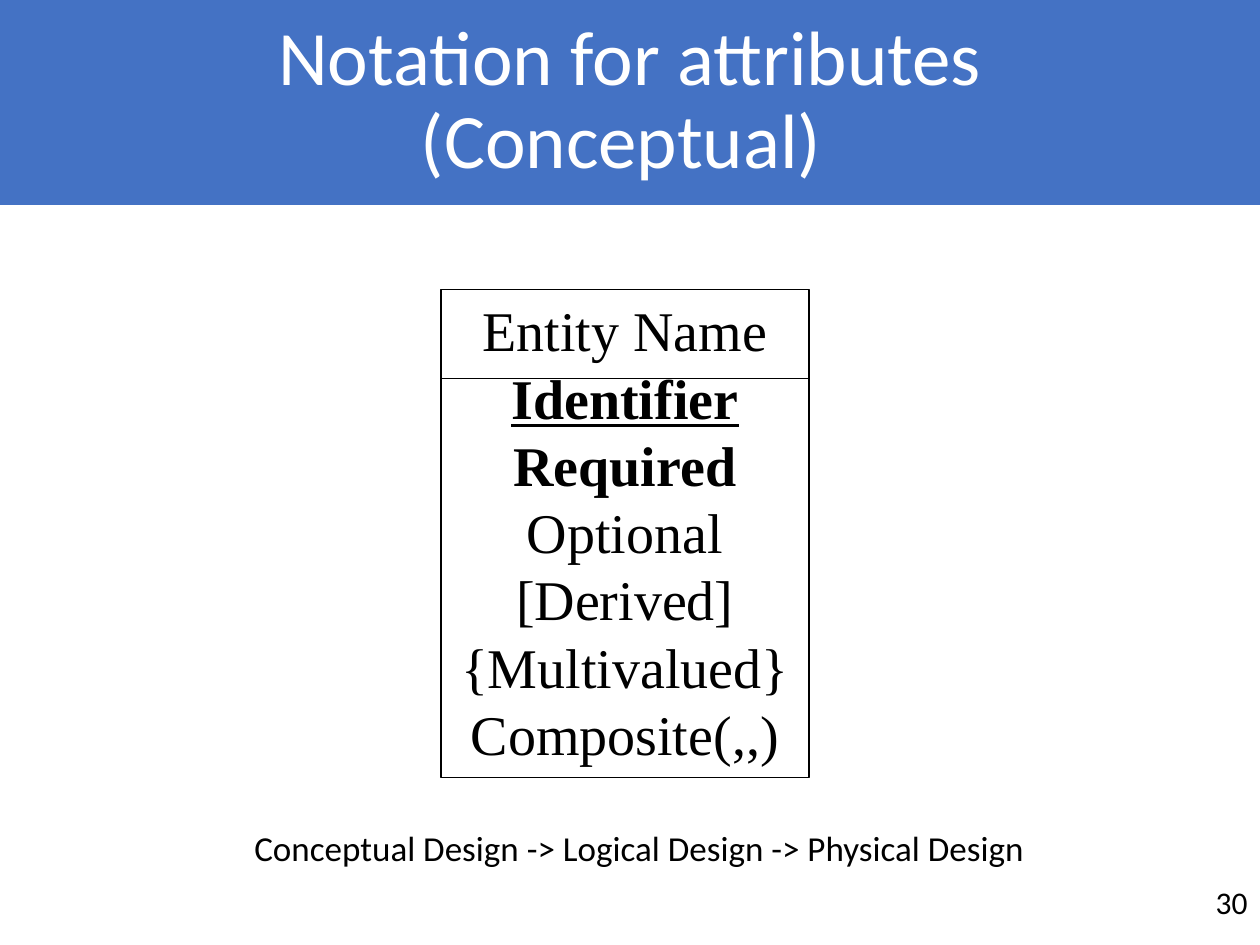
from dataclasses import dataclass, field

import pptx
import pptx.dml.color
import pptx.enum.shapes
import pptx.enum.text
import pptx.oxml
import pptx.oxml.ns
import pptx.util

ALIGN = pptx.enum.text.PP_ALIGN
ANCHOR = pptx.enum.text.MSO_ANCHOR
AUTO_SIZE = pptx.enum.text.MSO_AUTO_SIZE

# The slide is a grid of 100 columns and 75 rows of square cells
COLUMNS, ROWS = 100, 75
CELL = pptx.util.Inches(0.1)

BLUE, BLACK, WHITE = "4472C4", "000000", "FFFFFF"


@dataclass
class Box:
    column: float
    row: float
    columns: float
    rows: float


@dataclass
class Line:
    text: str
    format: dict = field(default_factory=dict)


def cells(count: float) -> int:
    return round(count * CELL)


def color(hex_value: str):
    return pptx.dml.color.RGBColor.from_string(hex_value)


def place(shape, box: Box) -> None:
    places = {"left": box.column, "top": box.row,
              "width": box.columns, "height": box.rows}
    for name, count in places.items():
        setattr(shape, name, cells(count))


def outline(line, hex_value: str, points: float) -> None:
    line.color.rgb = color(hex_value)
    line.width = pptx.util.Pt(points)


def format_font(font, name: str, size: float, hex_value: str, **extra) -> None:
    values = {"name": name, "size": pptx.util.Pt(size)} | extra
    for attribute, value in values.items():
        setattr(font, attribute, value)
    font.color.rgb = color(hex_value)


def write(shape, lines: list[Line], font: str, size: float, align,
          anchor=ANCHOR.TOP, fit=AUTO_SIZE.NONE) -> None:
    frame = shape.text_frame
    frame_format = {"word_wrap": True, "auto_size": fit, "vertical_anchor": anchor}
    for attribute, value in frame_format.items():
        setattr(frame, attribute, value)
    for index, line in enumerate(lines):
        paragraph = frame.add_paragraph() if index else frame.paragraphs[0]
        paragraph.alignment = align
        run = paragraph.add_run()
        run.text = line.text
        format_font(run.font, font, size, BLACK, **line.format)


def add_title(slide, lines: list[str], box: Box) -> None:
    title = slide.shapes.title
    place(title, box)
    title.fill.solid()
    title.fill.fore_color.rgb = color(BLUE)
    outline(title.line, BLUE, 0.75)
    title.text_frame.auto_size = AUTO_SIZE.NONE
    title.text_frame.vertical_anchor = ANCHOR.MIDDLE
    paragraph = title.text_frame.paragraphs[0]
    paragraph.alignment = ALIGN.CENTER
    paragraph.line_spacing = 0.9
    for index, text in enumerate(lines):
        if index:
            paragraph.add_line_break()
        run = paragraph.add_run()
        run.text = text
        format_font(run.font, "Calibri", 44, WHITE)


def add_entity(slide, lines: list[Line], box: Box, header_rows: float) -> None:
    entity = slide.shapes.add_shape(
        pptx.enum.shapes.MSO_SHAPE.RECTANGLE, 0, 0, CELL, CELL)
    place(entity, box)
    entity.shadow.inherit = False
    entity.fill.background()
    outline(entity.line, BLACK, 0.75)
    write(entity, lines, "Times New Roman", 32, ALIGN.CENTER,
          fit=AUTO_SIZE.SHAPE_TO_FIT_TEXT)

    # Rule between the entity name and its attributes
    rule_y = cells(box.row + header_rows)
    rule = slide.shapes.add_connector(
        pptx.enum.shapes.MSO_CONNECTOR.STRAIGHT,
        cells(box.column), rule_y, cells(box.column + box.columns), rule_y)
    outline(rule.line, BLACK, 0.5)
    properties = rule._element.spPr
    properties.append(pptx.oxml.parse_xml(
        f"<a:effectLst {pptx.oxml.ns.nsdecls('a')}/>"))


def add_label(slide, text: str, box: Box, size: float, align, **layout) -> None:
    label = slide.shapes.add_textbox(0, 0, CELL, CELL)
    place(label, box)
    write(label, [Line(text)], "Calibri", size, align, **layout)


def main() -> None:
    deck = pptx.Presentation()
    deck.slide_width, deck.slide_height = cells(COLUMNS), cells(ROWS)
    slide = deck.slides.add_slide(deck.slide_layouts[5])

    # Title band
    add_title(slide, ["Notation for attributes", "(Conceptual) "],
              Box(0, 0, COLUMNS, 16.2))

    # Page number in the bottom right corner
    add_label(slide, "30", Box(COLUMNS - 5, 69, 5, 5.2), 18, ALIGN.RIGHT,
              anchor=ANCHOR.MIDDLE)

    # Entity with one attribute of each notation
    attributes = [
        Line("Entity Name"),
        Line("Identifier", {"bold": True, "underline": True}),
        Line("Required", {"bold": True}),
        Line("Optional"),
        Line("[Derived]"),
        Line("{Multivalued}"),
        Line("Composite(,,)"),
    ]
    add_entity(slide, attributes, Box(35, 23, 29.2, 38.7), header_rows=7)

    # Design stages
    add_label(slide, "Conceptual Design -> Logical Design -> Physical Design",
              Box(19.2, 65.1, 63.3, 4.4), 20, ALIGN.LEFT,
              fit=AUTO_SIZE.SHAPE_TO_FIT_TEXT)

    deck.save("out.pptx")


if __name__ == "__main__":
    main()
